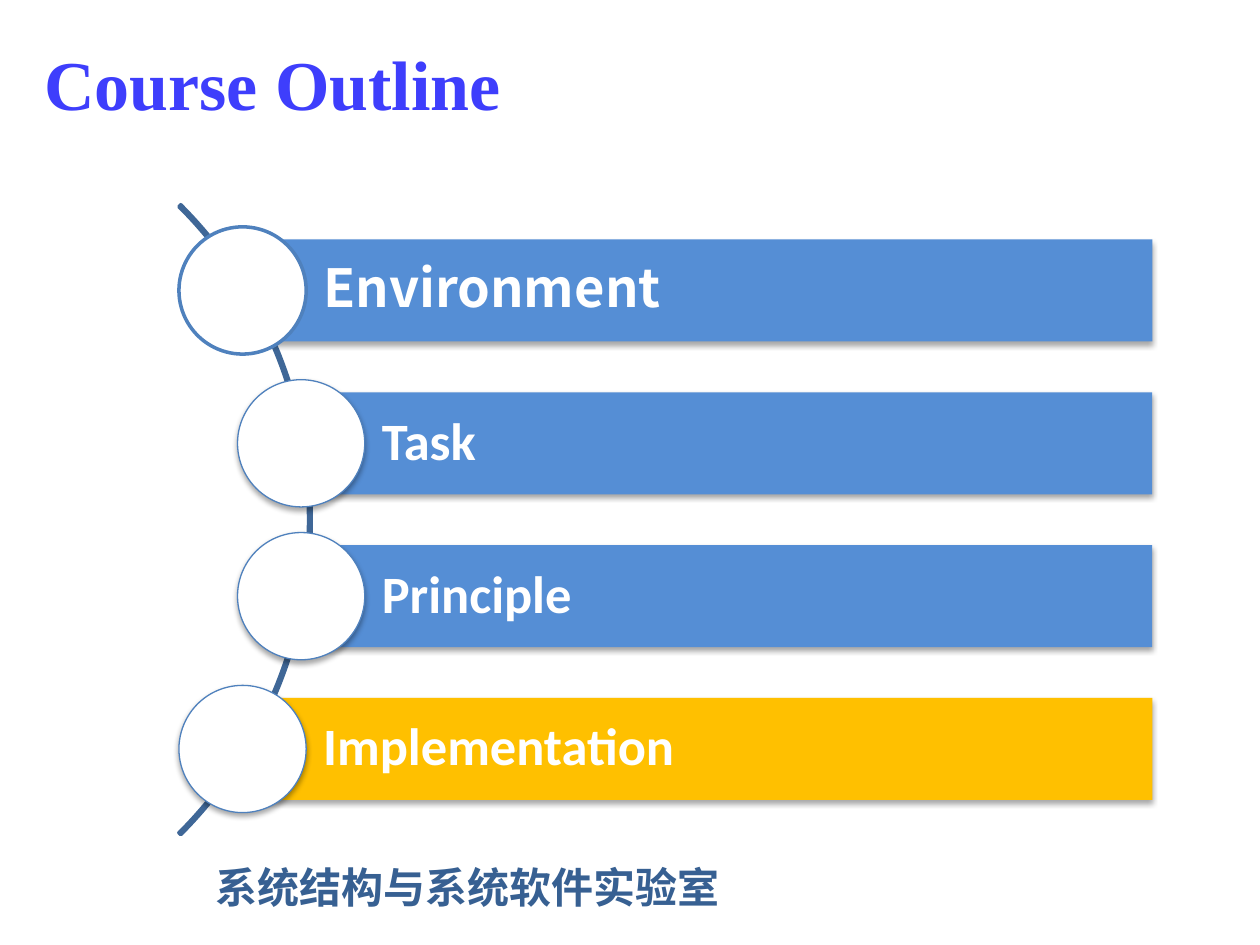
from lxml.etree import SubElement
from pptx import Presentation
from pptx.dml.color import RGBColor
from pptx.enum.shapes import MSO_SHAPE as Shape
from pptx.enum.text import MSO_ANCHOR as Anchor, MSO_AUTO_SIZE as AutoSize, PP_ALIGN as Align
from pptx.oxml.ns import qn
from pptx.util import Inches, Pt

COLORS = {
    "title": "3E3EFC", "footer": "376092", "arc": "3F6797", "ring": "4F81BD",
    "bar": "558ED5", "current": "FFC000", "white": "FFFFFF", "shadow": "000000",
}
SERIF, SANS, CJK = "Times New Roman", "Calibri", "Noto Sans CJK SC"
COLUMNS, ROWS = 100, 75
TOPICS = [
    ("Environment", CJK, "bar", 19.25, 2),
    ("Task", SANS, "bar", 23.9, 0.75),
    ("Principle", SANS, "bar", 23.9, 0.75),
    ("Implementation", SANS, "current", 19.25, 0.75),
]
MIDDLE, PITCH, BAR_RIGHT = 41.25, 12.13, 91.45
BAR_HEIGHT, CIRCLE, ARC = 8.1, 10.1, 70.7


class OutlineSlide:
    """Styled slide whose lengths are columns and rows of a 100 by 75 grid."""

    def __init__(self, presentation):
        self.column = presentation.slide_width / COLUMNS
        self.row = presentation.slide_height / ROWS
        self.slide = presentation.slides.add_slide(presentation.slide_layouts[5])

    def box(self, left, top, width, height):
        return (round(left * self.column), round(top * self.row),
                round(width * self.column), round(height * self.row))

    def color(self, name):
        return RGBColor.from_string(COLORS[name])

    def add_text(self, frame, text, font_name, size, color):
        frame.word_wrap = True
        paragraph = frame.paragraphs[0]
        paragraph.alignment = Align.LEFT
        run = paragraph.add_run()
        run.text = text
        font = run.font
        font.name, font.size, font.bold = font_name, Pt(size), True
        font.color.rgb = self.color(color)
        SubElement(font._element, qn("a:ea"), typeface=font_name)
        return paragraph

    def title(self, text, *place):
        title = self.slide.shapes.title
        title.left, title.top, title.width, title.height = self.box(*place)
        title.text_frame.vertical_anchor = Anchor.MIDDLE
        self.add_text(title.text_frame, text, SERIF, 40, "title")

    def footer(self, text, *place):
        frame = self.slide.shapes.add_textbox(*self.box(*place)).text_frame
        self.add_text(frame, text, CJK, 24, "footer")
        frame.auto_size = AutoSize.SHAPE_TO_FIT_TEXT

    def shape(self, kind, place, fill=None, line=None, weight=0, shadow=False):
        shape = self.slide.shapes.add_shape(kind, *self.box(*place))
        if fill:
            shape.fill.solid()
            shape.fill.fore_color.rgb = self.color(fill)
        else:
            shape.fill.background()
        if line:
            shape.line.color.rgb = self.color(line)
            shape.line.width = Pt(weight)
        else:
            shape.line.fill.background()
        shape.shadow.inherit = False
        if shadow:
            effects = shape._element.spPr.find(qn("a:effectLst"))
            outer = SubElement(effects, qn("a:outerShdw"), blurRad="40000",
                               dist="23000", dir="5400000", rotWithShape="0")
            tint = SubElement(outer, qn("a:srgbClr"), val=COLORS["shadow"])
            SubElement(tint, qn("a:alpha"), val="35000")
        return shape

    def arc(self, right):
        place = (right - ARC, MIDDLE - ARC / 2, ARC, ARC)
        arc = self.shape(Shape.BLOCK_ARC, place, line="arc", weight=2)
        for index, value in enumerate((189, 27, 0.003)):
            arc.adjustments[index] = value

    def bar(self, text, font_name, fill, left, center):
        place = (left, center - BAR_HEIGHT / 2, BAR_RIGHT - left, BAR_HEIGHT)
        frame = self.shape(Shape.RECTANGLE, place, fill, shadow=True).text_frame
        frame.vertical_anchor = Anchor.MIDDLE
        frame.margin_left = Inches(0.64)
        frame.margin_top = frame.margin_right = frame.margin_bottom = Inches(0.08)
        self.add_text(frame, text, font_name, 30, "white").line_spacing = 0.9

    def circle(self, x, y, weight):
        place = (x - CIRCLE / 2, y - CIRCLE / 2, CIRCLE, CIRCLE)
        self.shape(Shape.OVAL, place, "white", "ring", weight, shadow=weight < 1)


def main():
    presentation = Presentation()
    presentation.slide_width, presentation.slide_height = Inches(10), Inches(7.5)
    outline = OutlineSlide(presentation)
    outline.footer("系统结构与系统软件实验室", 16.1, 67.9, 52.8, 5.1)
    outline.title("Course Outline", 2.5, 1.3, 76.6, 10.5)
    outline.arc(24.7)
    for index, (text, font_name, fill, x, weight) in enumerate(TOPICS):
        y = MIDDLE + (index - (len(TOPICS) - 1) / 2) * PITCH
        outline.bar(text, font_name, fill, x, y)
        outline.circle(x, y, weight)
    presentation.save("out.pptx")


if __name__ == "__main__":
    main()
